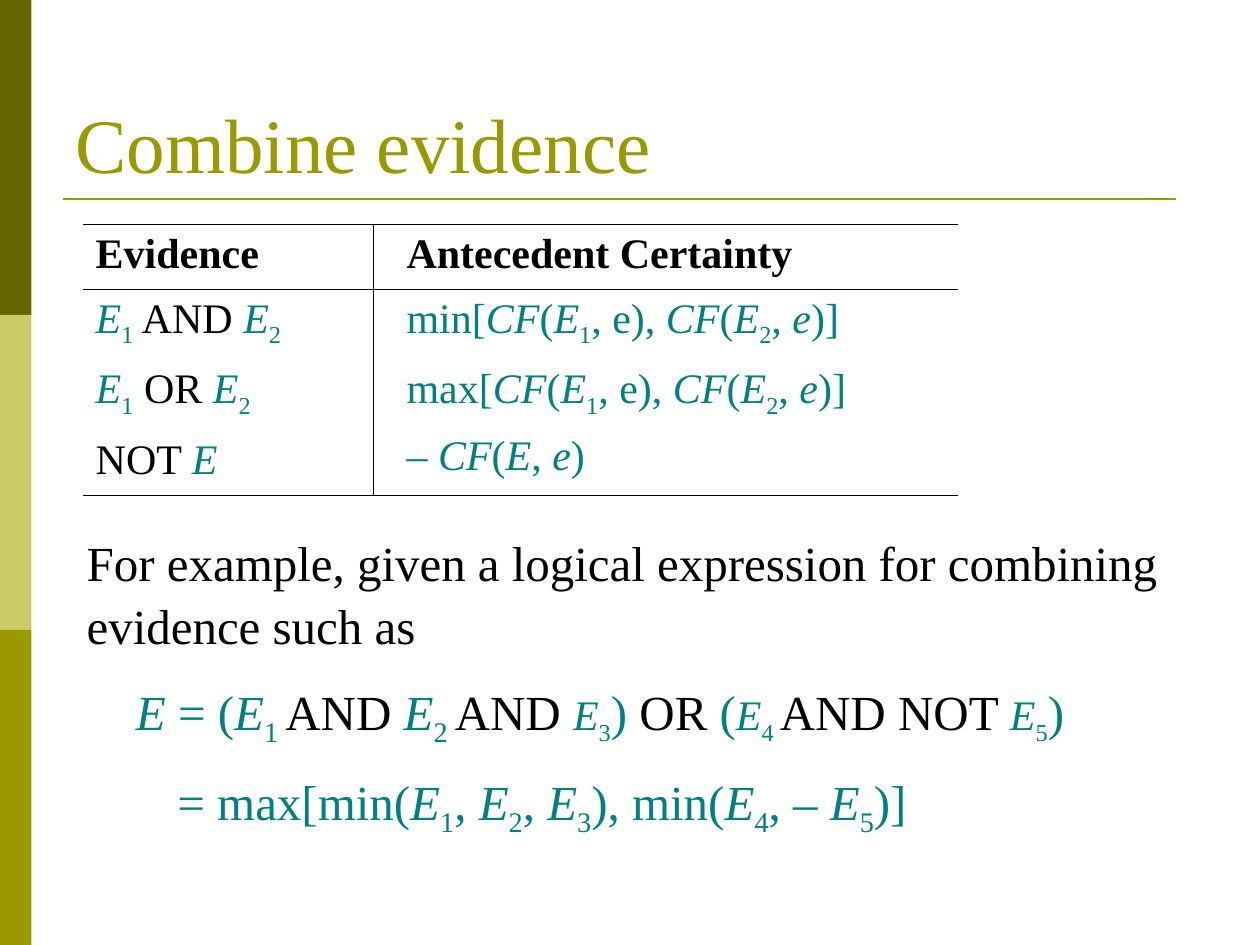
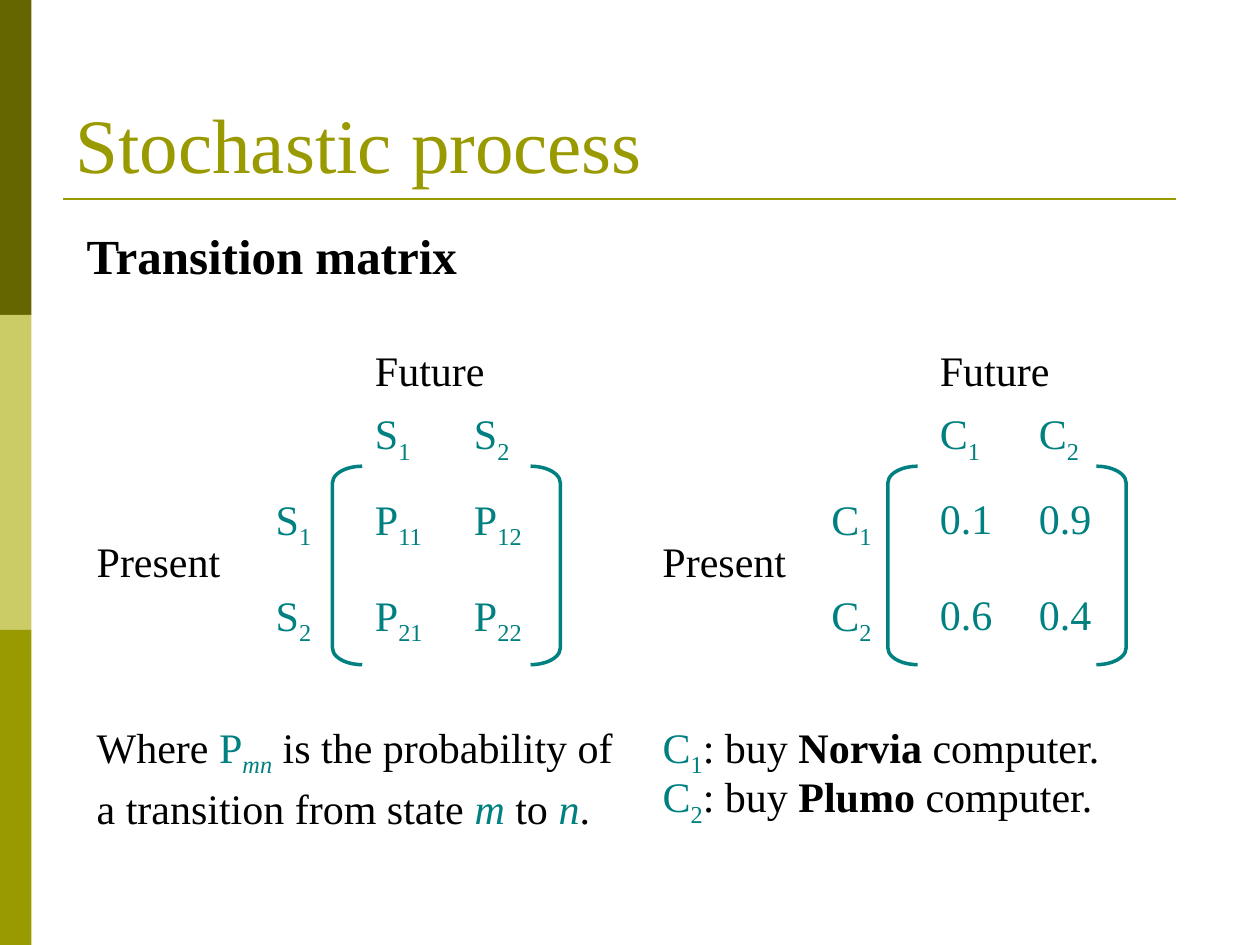
import dataclasses
import typing

import lxml.etree
import pptx
import pptx.dml.color
import pptx.enum.shapes
import pptx.enum.text
import pptx.oxml.ns
import pptx.util

Pt = pptx.util.Pt
RGBColor = pptx.dml.color.RGBColor
Shape = pptx.enum.shapes.MSO_SHAPE

FONT = "Times New Roman"
BLACK = RGBColor(0x00, 0x00, 0x00)
TEAL = RGBColor(0x00, 0x80, 0x80)
OLIVE = RGBColor(0x99, 0x99, 0x00)
DARK = RGBColor(0x66, 0x66, 0x00)
PALE = RGBColor(0xCC, 0xCC, 0x66)

THICK, THIN = 1.08, 0.45
PAD = 7.2
INDENT = 19.2


class Bit(typing.NamedTuple):
    """One run of text with its look."""

    text: str
    ink: RGBColor = TEAL
    slant: bool = False
    sub: bool = False
    bold: bool = False
    size: float = 0


@dataclasses.dataclass
class Matrix:
    """A two by two transition matrix and its column places."""

    left: float
    label: float
    open: float
    column: float
    close: float
    state: str
    cells: list[list[list[Bit]]]


def word(text: str, bold: bool = False) -> Bit:
    """Return plain black text."""
    return Bit(text, BLACK, bold=bold)


def var(name: str, low: str, slant: bool = True, size: float = 0) -> list[Bit]:
    """Return a symbol followed by its subscript."""
    return [Bit(name, slant=slant, size=size), Bit(low, sub=True, size=size)]


def limit(name: str) -> list[Bit]:
    """Return the min or max of two certainty factors."""
    return [Bit(name + "["), Bit("CF", slant=True), Bit("("), *var("E", "1"), Bit(", e), "),
            Bit("CF", slant=True), Bit("("), *var("E", "2"), Bit(", "),
            Bit("e", slant=True), Bit(")]")]


def write(para, bits: list[Bit], size: float) -> None:
    """Add the bits to a paragraph, run by run."""
    for bit in bits:
        run = para.add_run()
        run.text = bit.text
        font = run.font
        font.name = FONT
        font.size = Pt(bit.size or size)
        font.color.rgb = bit.ink
        font.bold = bit.bold
        font.italic = bit.slant
        if bit.sub:
            run._r.get_or_add_rPr().set("baseline", "-25000")


def note(slide, left: float, top: float, width: float, height: float,
         bits: list[Bit], size: float = 24) -> None:
    """Add a wrapped text box."""
    frame = slide.shapes.add_textbox(Pt(left), Pt(top), Pt(width), Pt(height)).text_frame
    frame.word_wrap = True
    frame.auto_size = pptx.enum.text.MSO_AUTO_SIZE.SHAPE_TO_FIT_TEXT
    frame.paragraphs[0].line_spacing = 1.08
    write(frame.paragraphs[0], bits, size)


def start(deck, title: str):
    """Add a slide with the side bands, the rule and a title."""
    slide = deck.slides.add_slide(deck.slide_layouts[5])
    for row, ink in enumerate((DARK, PALE, OLIVE)):
        band = slide.shapes.add_shape(Shape.RECTANGLE, 0, Pt(180 * row), Pt(18), Pt(180))
        band.shadow.inherit = False
        band.fill.solid()
        band.fill.fore_color.rgb = ink
        band.line.fill.background()
    rule = slide.shapes.add_connector(pptx.enum.shapes.MSO_CONNECTOR.STRAIGHT,
                                      Pt(36), Pt(113.8), Pt(672), Pt(113.8))
    rule.line.color.rgb = OLIVE
    rule.line.width = Pt(1.5)
    lxml.etree.SubElement(rule._element.spPr, pptx.oxml.ns.qn("a:effectLst"))
    head = slide.shapes.title
    head.left, head.top, head.width, head.height = Pt(36), Pt(21.6), Pt(648), Pt(90)
    frame = head.text_frame
    frame.auto_size = pptx.enum.text.MSO_AUTO_SIZE.NONE
    frame.vertical_anchor = pptx.enum.text.MSO_ANCHOR.BOTTOM
    frame.paragraphs[0].alignment = pptx.enum.text.PP_ALIGN.LEFT
    write(frame.paragraphs[0], [Bit(title, OLIVE)], 44)
    return slide


def edge(cell, sides: dict[str, float]) -> None:
    """Draw the named cell sides and clear the others."""
    props = cell._tc.get_or_add_tcPr()
    for side in "LRTB":
        width = sides.get(side, 0)
        line = lxml.etree.SubElement(props, pptx.oxml.ns.qn("a:ln" + side), w=str(Pt(width)))
        if width:
            fill = lxml.etree.SubElement(line, pptx.oxml.ns.qn("a:solidFill"))
            lxml.etree.SubElement(fill, pptx.oxml.ns.qn("a:srgbClr"), val=str(BLACK))
        else:
            lxml.etree.SubElement(line, pptx.oxml.ns.qn("a:noFill"))


def grid(slide, rows: list[tuple[list[Bit], list[Bit]]]) -> None:
    """Add the table of evidence rules."""
    table = slide.shapes.add_table(len(rows), 2, Pt(47.5), Pt(128.2), Pt(500), Pt(155)).table
    table.first_row = table.horz_banding = False
    for col, width in enumerate((165.6, 334.4)):
        table.columns[col].width = Pt(width)
    for row, height in enumerate((37.2, 40.3, 40.3, 37.2)):
        table.rows[row].height = Pt(height)
        for col, bits in enumerate(rows[row]):
            cell = table.cell(row, col)
            sides = {"L" if col else "R": THIN}
            if row < 2:
                sides["T"] = THICK
            if row in (0, len(rows) - 1):
                sides["B"] = THICK
            edge(cell, sides)
            cell.fill.background()
            cell.margin_left = Pt(INDENT if col else PAD)
            para = cell.text_frame.paragraphs[0]
            if row and col:
                para.line_spacing = 0.9
            write(para, bits, 24)


def draw(slide, item: Matrix) -> None:
    """Draw a matrix with its labels and brackets."""
    note(slide, item.left, 300.2, 96.5, 36, [word("Present")])
    note(slide, item.column, 190.8, 119, 36, [word("Future")])
    for num in range(2):
        state = var(item.state, str(num + 1), slant=False)
        across = item.column + 56.6 * num
        down = 275.8 + 54.8 * num
        note(slide, across, 226.8, 45.4, 40.3, state)
        note(slide, item.label, down, 45.4, 40.3, state)
        for col, bits in enumerate(item.cells[num]):
            note(slide, item.column + 56.6 * col, down, 45.4, 40.3, bits)
    for kind, left in ((Shape.LEFT_BRACKET, item.open), (Shape.RIGHT_BRACKET, item.close)):
        mark = slide.shapes.add_shape(kind, Pt(left), Pt(266.4), Pt(17), Pt(113.4))
        mark.adjustments[0] = 0.56
        mark.shadow.inherit = False
        mark.fill.background()
        mark.line.color.rgb = TEAL
        mark.line.width = Pt(2)


def proof(deck) -> None:
    """Build the slide on combining evidence."""
    slide = start(deck, "Combine evidence")
    grid(slide, [
        ([word("Evidence", True)], [word("Antecedent Certainty", True)]),
        ([*var("E", "1"), word(" AND "), *var("E", "2")], limit("min")),
        ([*var("E", "1"), word(" OR "), *var("E", "2")], limit("max")),
        ([word("NOT "), Bit("E", slant=True)],
         [Bit("– "), Bit("CF", slant=True), Bit("("), Bit("E", slant=True), Bit(", "),
          Bit("e", slant=True), Bit(")")]),
    ])
    note(slide, 42.5, 298, 629.3, 75, [word(
        "For example, given a logical expression for combining evidence such as")], 28)
    note(slide, 70.6, 383, 584, 45.4, [
        Bit("E ", slant=True), Bit("= ("), *var("E", "1 "), word("AND "), *var("E", "2 "),
        word("AND "), *var("E", "3", size=24), Bit(") "), word("OR"), Bit(" ("),
        *var("E", "4 ", size=24), word("AND NOT "), *var("E", "5", size=24), Bit(")")], 28)
    note(slide, 94.3, 434.2, 442, 45.4, [
        Bit("= max[min("), *var("E", "1"), Bit(", "), *var("E", "2"), Bit(", "),
        *var("E", "3"), Bit("), min("), *var("E", "4"), Bit(", – "), *var("E", "5"),
        Bit(")]")], 28)


def chain(deck) -> None:
    """Build the slide on the transition matrix."""
    slide = start(deck, "Stochastic process")
    note(slide, 42.5, 122.4, 340.6, 41, [word("Transition matrix", True)], 28)
    odds = [[var("P", f"{row}{col}", slant=False) for col in (1, 2)] for row in (1, 2)]
    rates = [[[Bit(text)] for text in row] for row in (("0.1", "0.9"), ("0.6", "0.4"))]
    draw(slide, Matrix(48.2, 150.5, 190, 207.2, 303.2, "S", odds))
    draw(slide, Matrix(371.5, 468, 507.4, 530, 626.5, "C", rates))
    for num, brand in enumerate(("Norvia", "Plumo")):
        note(slide, 371.5, 406 + 28.2 * num, 306, 40.3, [
            *var("C", str(num + 1), slant=False), word(": buy "), word(brand, True),
            word(" computer.")])
    note(slide, 48.2, 406, 311.8, 69, [
        word("Where "), Bit("P"), Bit("mn", slant=True, sub=True),
        word(" is the probability of a transition from state "), Bit("m", slant=True),
        word(" to "), Bit("n", slant=True), word(".")])


def main() -> None:
    """Build and save the deck."""
    deck = pptx.Presentation()
    deck.slide_width, deck.slide_height = Pt(720), Pt(540)
    proof(deck)
    chain(deck)
    deck.save("out.pptx")


if __name__ == "__main__":
    main()
